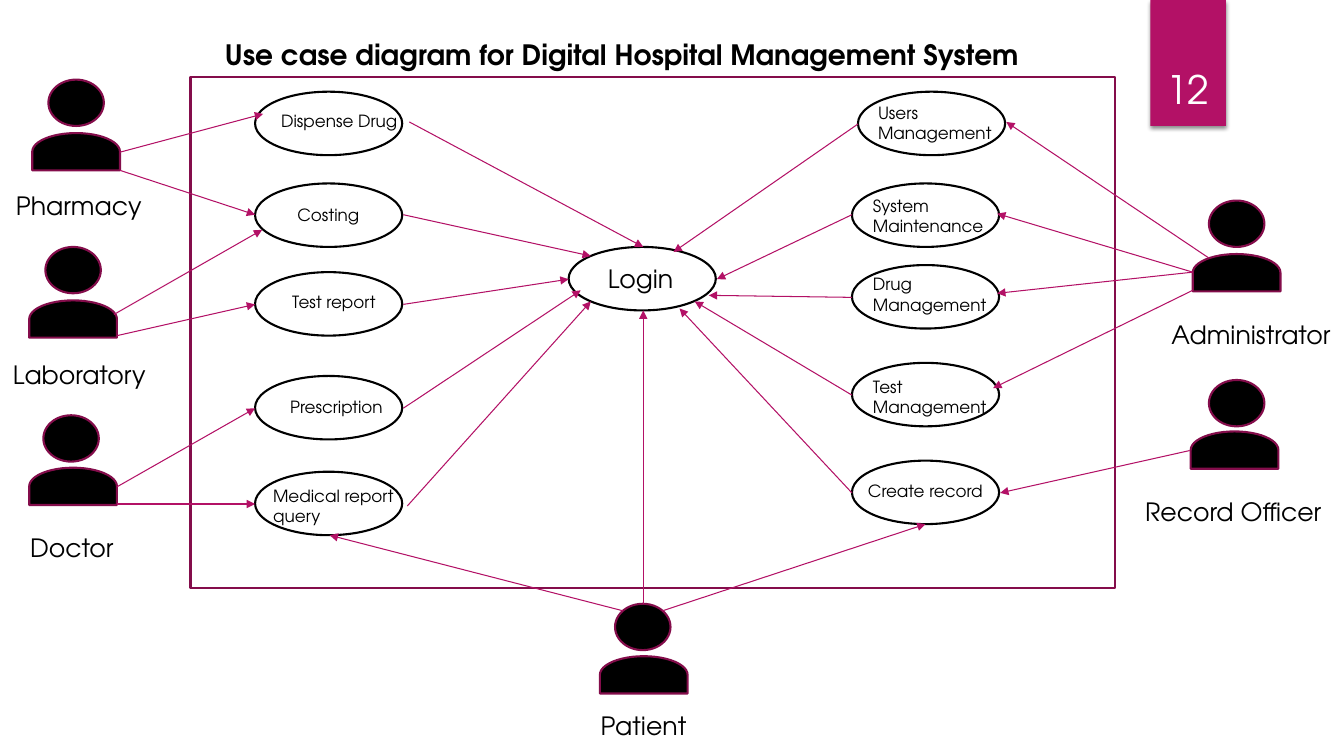
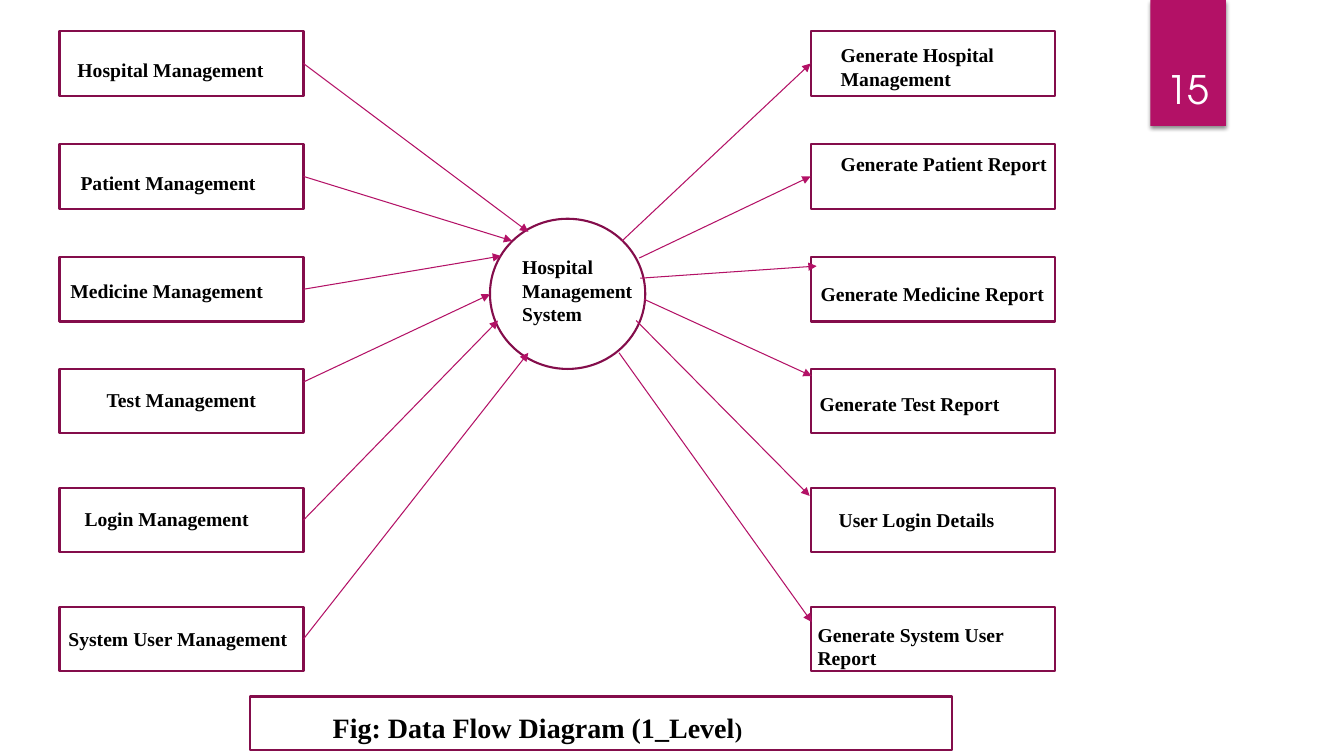
from lxml import etree
from pptx import Presentation
from pptx.dml.color import RGBColor
from pptx.enum import shapes, text
from pptx.oxml import parse_xml
from pptx.oxml.ns import nsdecls, qn
from pptx.util import Inches, Pt

PINK, PLUM, BLACK, WHITE = "B31166", "840D4B", "000000", "FFFFFF"
SANS, SERIF = "TeX Gyre Adventor", "Times New Roman"
KIND = shapes.MSO_SHAPE
FIT = text.MSO_AUTO_SIZE
rgb = RGBColor.from_string


def draw(slide, kind, at, fill=None, line=None):
    shape = slide.shapes.add_shape(kind, *map(Inches, at))
    shape.shadow.inherit = False
    if fill:
        shape.fill.solid()
        shape.fill.fore_color.rgb = rgb(fill)
    else:
        shape.fill.background()
    if line:
        shape.line.color.rgb = rgb(line)
        shape.line.width = Pt(1.5)
    else:
        shape.line.fill.background()
    return shape


def write(slide, words, at, size, face, bold=False, color=BLACK, title=False):
    box = slide.shapes.title if title else slide.shapes.add_textbox(0, 0, 0, 0)
    box.left, box.top, box.width, box.height = map(Inches, at)
    frame = box.text_frame
    frame.word_wrap = title or at[3] > 0.45
    frame.auto_size = FIT.NONE if title else FIT.SHAPE_TO_FIT_TEXT
    frame.vertical_anchor = text.MSO_ANCHOR.TOP
    line = frame.paragraphs[0]
    line.text = words
    line.alignment = text.PP_ALIGN.LEFT
    font = line.font
    font.name, font.size, font.bold = face, Pt(size), bold
    font.color.rgb = rgb(color)
    return box


deck = Presentation()
deck.slide_width, deck.slide_height = Inches(13.33), Inches(7.5)
plan = deck.slide_layouts.get_by_name("Title Only")
cases = deck.slides.add_slide(plan)
flow = deck.slides.add_slide(plan)

band = draw(cases, KIND.RECTANGLE, (11.41, 0, 0.75, 1.25), PINK)
props = band.element.spPr
props.remove(props.find(qn("a:effectLst")))
props.append(parse_xml(
    f'<a:effectLst {nsdecls("a")}><a:outerShdw blurRad="38100" dist="25400" dir="5400000" rotWithShape="0">'
    '<a:srgbClr val="000000"><a:alpha val="45000"/></a:srgbClr></a:outerShdw></a:effectLst>'))
plan.shapes.element.append(band.element)

for slide, page in ((cases, "12"), (flow, "15")):
    box = write(slide, page, (11.32, 0.32, 0.92, 0.84), 28, SANS, color=WHITE)
    box.text_frame.auto_size = FIT.NONE
    box.text_frame.vertical_anchor = text.MSO_ANCHOR.BOTTOM
    box.text_frame.paragraphs[0].alignment = text.PP_ALIGN.CENTER

write(cases, "Use case diagram for Digital Hospital Management System",
      (2.13, 0.32, 9.36, 0.44), 20, SANS, True, title=True)
draw(cases, KIND.RECTANGLE, (1.89, 0.76, 9.17, 5.07), line=PLUM)

actors = (
    ("Pharmacy", (0.48, 0.79), (0.57, 1.07), (0.06, 1.84, 1.46)),
    ("Laboratory", (0.45, 2.45), (0.54, 2.73), (0.03, 3.52, 1.54)),
    ("Doctor", (0.43, 4.12), (0.54, 4.39), (0.2, 5.23, 1.04)),
    ("Patient", (6.1, 5.99), (6.2, 6.26), (5.86, 7, 1.06)),
    ("Administrator", (11.99, 1.99), (12.08, 2.27), (11.52, 3.12, 1.81)),
    ("Record Officer", (11.99, 3.77), (12.06, 4.03), (11.26, 4.87, 2)),
)
for name, head, body, label in actors:
    draw(cases, KIND.FLOWCHART_CONNECTOR, (*head, 0.55, 0.46), BLACK, PLUM)
    torso = draw(cases, KIND.FLOWCHART_DELAY, (*body, 0.37, 0.87), BLACK, PLUM)
    torso.rotation = 270
    write(cases, name, (*label, 0.4), 18, SANS)

tasks = (
    ("Dispense Drug", (2.53, 0.91), (2.69, 1.05, 1.36, 0.3), 12),
    ("Costing", (2.53, 1.82), (2.85, 1.98, 0.82, 0.3), 12),
    ("Test report", (2.53, 2.7), (2.8, 2.85, 1.05, 0.3), 12),
    ("Prescription", (2.53, 3.73), (2.78, 3.89, 1.14, 0.3), 12),
    ("Medical report query", (2.53, 4.68), (2.61, 4.77, 1.43, 0.5), 12),
    ("Login", (5.64, 2.45), (5.93, 2.56, 0.86, 0.4), 18),
    ("Users Management", (8.51, 0.91), (8.61, 0.97, 1.75, 0.5), 12),
    ("System Maintenance", (8.45, 1.82), (8.56, 1.89, 1.52, 0.5), 12),
    ("Drug Management", (8.45, 2.63), (8.56, 2.67, 1.46, 0.5), 12),
    ("Test Management", (8.45, 3.6), (8.56, 3.69, 1.47, 0.5), 12),
    ("Create record", (8.45, 4.57), (8.51, 4.72, 1.37, 0.3), 12),
)
for name, spot, label, size in tasks:
    draw(cases, KIND.FLOWCHART_CONNECTOR, (*spot, 1.46, 0.63), line=BLACK)
    write(cases, name, label, size, SANS)

links = (
    (1.19, 1.51, 2.61, 1.13), (1.19, 1.69, 2.53, 2.13),
    (1.13, 3.12, 2.6, 2.28), (1.16, 3.33, 2.53, 3.02),
    (1.16, 4.83, 2.53, 4.05), (1.16, 5, 2.53, 5),
    (6.18, 6.06, 3.27, 5.31), (6.57, 6.06, 9.18, 5.2), (6.38, 5.99, 6.38, 3.08),
    (4.06, 1.21, 6.38, 2.45), (4, 2.13, 5.86, 2.54), (4, 3.02, 5.64, 2.77),
    (4, 4.05, 5.76, 2.88), (4.04, 5.02, 5.86, 2.99),
    (8.51, 1.23, 6.68, 2.5), (8.45, 2.13, 7.11, 2.77), (8.45, 2.95, 7.03, 2.93),
    (8.45, 3.92, 6.89, 2.99), (8.45, 4.89, 6.74, 3.06),
    (11.99, 2.56, 9.98, 1.21), (11.83, 2.7, 9.89, 2.12), (11.83, 2.7, 9.89, 2.91),
    (11.83, 2.88, 9.85, 3.85), (11.8, 4.47, 9.92, 4.89),
)

draw(flow, KIND.OVAL, (4.86, 2.17, 1.54, 1.49), line=PLUM)
write(flow, "Hospital Management System", (5.08, 2.48, 1.92, 0.81), 14, SERIF, True)
draw(flow, KIND.RECTANGLE, (2.48, 6.91, 6.96, 0.53), line=PLUM)
title = write(flow, "Fig: Data Flow Diagram (1_Level", (3.2, 7, 5, 0.44), 20, SERIF, True, title=True)
close = title.text_frame.paragraphs[0].add_run()
close.text = ")"
close.font.size = Pt(16)

tops = (0.31, 1.43, 2.55, 3.66, 4.84, 6.02)
inputs = (
    ("Hospital Management", (0.67, 0.53, 2.06, 0.34)),
    ("Patient Management", (0.7, 1.65, 1.95, 0.34)),
    ("Medicine Management", (0.6, 2.72, 2.13, 0.34)),
    ("Test Management", (0.96, 3.8, 1.7, 0.34)),
    ("Login Management", (0.74, 4.98, 1.84, 0.34)),
    ("System User Management", (0.58, 6.17, 2.39, 0.34)),
)
outputs = (
    ("Generate Hospital Management", (8.24, 0.38, 2.4, 0.57)),
    ("Generate Patient Report", (8.24, 1.46, 2.25, 0.34)),
    ("Generate Medicine Report", (8.04, 2.75, 2.44, 0.34)),
    ("Generate Test Report", (8.03, 3.84, 2, 0.34)),
    ("User Login Details", (8.22, 4.99, 1.76, 0.34)),
    ("Generate System User Report", (8.01, 6.13, 2.25, 0.57)),
)
ports = {}
for left, port, side, items in ((0.59, 3.01, 3, inputs), (8.04, 8.04, 1, outputs)):
    for top, (name, label) in zip(tops, items):
        box = draw(flow, KIND.RECTANGLE, (left, top, 2.42, 0.64), line=PLUM)
        ports[port, round(top + 0.32, 2)] = box, side
        write(flow, name, label, 14, SERIF, True)

paths = (
    (3.01, 0.63, 5.24, 2.3), (3.01, 1.75, 5.08, 2.39), (3.01, 2.87, 4.97, 2.54),
    (3.01, 3.79, 4.86, 2.92), (3.01, 5.16, 4.94, 3.18), (3.01, 6.34, 5.24, 3.5),
    (6.17, 2.39, 8.04, 0.63), (6.34, 2.56, 8.04, 1.75), (6.35, 2.76, 8.1, 2.64),
    (6.39, 2.97, 8.05, 3.73), (6.31, 3.18, 8.03, 4.92), (6.14, 3.5, 8.05, 6.17),
)
for slide, routes, joints in ((cases, links, {}), (flow, paths, ports)):
    for route in routes:
        arrow = slide.shapes.add_connector(shapes.MSO_CONNECTOR.STRAIGHT, *map(Inches, route))
        if route[:2] in joints:
            arrow.begin_connect(*joints[route[:2]])
        if route[2:] in joints:
            arrow.end_connect(*joints[route[2:]])
        arrow.line.color.rgb = rgb(PINK)
        arrow.line.width = Pt(0.75)
        etree.SubElement(arrow.line._get_or_add_ln(), qn("a:tailEnd"), type="triangle")
        etree.SubElement(arrow.element.spPr, qn("a:effectLst"))

deck.save("out.pptx")
